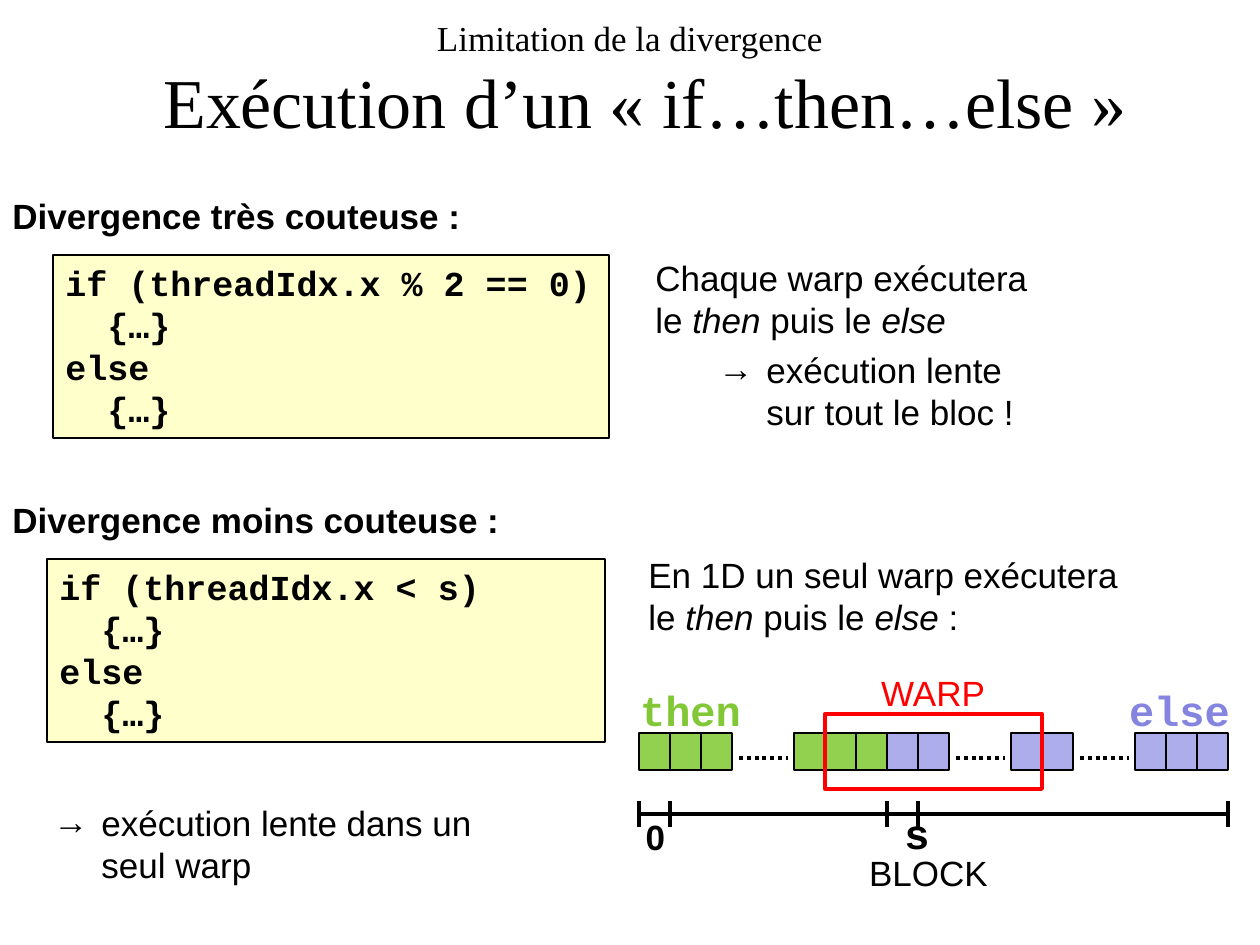
import pptx
import pptx.util
import pptx.dml.color
import pptx.enum.dml
import pptx.enum.shapes
import pptx.enum.text
from lxml import etree

PX = 914400 / 126
ALIGN = pptx.enum.text.PP_ALIGN
ANCHOR = pptx.enum.text.MSO_ANCHOR
THEME = {
    "sans": "Arial", "code": "Courier New", "serif": "Times New Roman",
    "body": 20, "mark": 24, "title": 40, "thin": 0.75, "thick": 2.25,
    "black": "000000", "red": "FF0000", "paper": "FFFFCC",
    "then": "92D050", "else": "ADADEB",
    "then_ink": "82C836", "else_ink": "8585E0",
}

# A paragraph is (text, options); words between stars are italic.
TITLE = [("Limitation de la divergence", {}),
         ("Exécution d’un «\u00a0if…then…else\u00a0»",
          {"size": "title", "left": 30})]
HEADS = [("Divergence très couteuse :", (0, 188, 478, 55)),
         ("Divergence moins couteuse :", (0, 492, 517, 55))]
CODES = [("if (threadIdx.x % 2 == 0)", (53, 255, 556, 183)),
         ("if (threadIdx.x < s)", (47, 559, 558, 183))]
BRANCH = ["  {…}", "else", "  {…}"]
NOTES = [
    ((643, 250, 416, 190), [
        ("Chaque warp exécutera le *then* puis le *else*", {}),
        ("exécution lente", {"left": 111, "hang": 48, "before": 5}),
        ("sur tout le bloc !", {"left": 111})]),
    ((636, 547, 503, 106), [
        ("En 1D un seul warp exécutera le *then* puis le *else* :", {})]),
    ((41, 795, 509, 97), [
        ("exécution lente dans un seul warp", {"left": 48, "hang": 48})]),
]
LABELS = [
    ("0", (633, 809, 45, 55), {"bold": True}),
    ("BLOCK", (856, 845, 145, 55), {}),
    ("WARP", (868, 665, 130, 55), {"ink": "red"}),
    ("s", (892, 801, 40, 63), {"face": "code", "size": "mark", "bold": True}),
    ("then", (627, 678, 127, 63), {"face": "code", "size": "mark",
                                   "bold": True, "ink": "then_ink"}),
    ("else", (1116, 678, 127, 63), {"face": "code", "size": "mark",
                                    "bold": True, "ink": "else_ink"}),
]

# The block is a row of equal slots, some shown as cells, some as dots.
LEFT, STEP, SLOTS = 639, 31, 19
CELL_TOP, CELL_H, DOT_Y, AXIS_Y = 733, 37, 758, 814
CELLS = {"then": [0, 1, 2, 5, 6, 7], "else": [8, 9, 12, 13, 16, 17, 18]}
GAPS = [3, 10, 14]
TICKS = [0, 1, 8, 9, SLOTS]
WARP = (6, 13)


def emu(n):
    return round(n * PX)


def color(name):
    return pptx.dml.color.RGBColor.from_string(THEME[name])


def slot(n):
    return LEFT + n * STEP


def indent(para, left, hang):
    """Indent a paragraph; a hanging one gets an arrow bullet."""
    props = para._p.get_or_add_pPr()
    props.set("marL", str(emu(left)))
    props.set("indent", str(-emu(hang)))
    if hang:
        for tag, key, val in (("buFont", "typeface", THEME["sans"]),
                              ("buChar", "char", "→")):
            etree.SubElement(props, pptx.oxml.ns.qn("a:" + tag)).set(key, val)


def write(shape, paras, face="sans", size="body", ink="black", bold=False,
          align=ALIGN.LEFT, wrap=True, anchor=ANCHOR.TOP):
    frame = shape.text_frame
    frame.word_wrap, frame.vertical_anchor = wrap, anchor
    for i, (text, opts) in enumerate(paras):
        para = frame.add_paragraph() if i else frame.paragraphs[0]
        indent(para, opts.get("left", 0), opts.get("hang", 0))
        para.alignment = align
        if "before" in opts:
            para.space_before = pptx.util.Pt(opts["before"])
        for j, part in enumerate(text.split("*")):
            if not part:
                continue
            run = para.add_run()
            run.text = part
            font = run.font
            font.name = THEME[face]
            font.size = pptx.util.Pt(THEME[opts.get("size", size)])
            font.bold, font.italic = bold, j % 2 == 1
            font.color.rgb = color(ink)


def text(slide, box, paras, **style):
    write(slide.shapes.add_textbox(*map(emu, box)), paras, **style)


def rect(slide, box, fill=None, ink="black", width="thin"):
    kind = pptx.enum.shapes.MSO_SHAPE.RECTANGLE
    shape = slide.shapes.add_shape(kind, *map(emu, box))
    shape.shadow.inherit = False
    if fill:
        shape.fill.solid()
        shape.fill.fore_color.rgb = color(fill)
    else:
        shape.fill.background()
    shape.line.color.rgb = color(ink)
    shape.line.width = pptx.util.Pt(THEME[width])
    return shape


def line(slide, ends, dots=False):
    kind = pptx.enum.shapes.MSO_CONNECTOR.STRAIGHT
    link = slide.shapes.add_connector(kind, *map(emu, ends))
    link.line.color.rgb = color("black")
    link.line.width = pptx.util.Pt(THEME["thick"])
    if dots:
        link.line.dash_style = pptx.enum.dml.MSO_LINE.ROUND_DOT
    etree.SubElement(link._element.spPr, pptx.oxml.ns.qn("a:effectLst"))


def block(slide):
    for name, slots in CELLS.items():
        for n in slots:
            rect(slide, (slot(n), CELL_TOP, STEP, CELL_H), name)
    first, last = WARP
    rect(slide, (slot(first), 714, slot(last) - slot(first), 75),
         ink="red", width="thick")
    for n in GAPS:
        line(slide, (slot(n) + 7, DOT_Y, slot(n) + 56, DOT_Y), dots=True)
    line(slide, (LEFT, AXIS_Y, slot(SLOTS), AXIS_Y))
    for n in TICKS:
        line(slide, (slot(n), AXIS_Y - 13, slot(n), AXIS_Y + 13))
    for word, box, style in LABELS:
        text(slide, box, [(word, {})], align=ALIGN.CENTER, wrap=False, **style)


def main():
    deck = pptx.Presentation()
    deck.slide_width, deck.slide_height = emu(1260), emu(945)
    slide = deck.slides.add_slide(deck.slide_layouts[6])
    text(slide, (0, 0, 1260, 158), TITLE, face="serif",
         align=ALIGN.CENTER, anchor=ANCHOR.MIDDLE)
    for head, box in HEADS:
        text(slide, box, [(head, {})], bold=True, wrap=False)
    for test, box in CODES:
        write(rect(slide, box, "paper"), [(row, {}) for row in [test] + BRANCH],
              face="code", bold=True)
    for box, paras in NOTES:
        text(slide, box, paras)
    block(slide)
    deck.save("out.pptx")


if __name__ == "__main__":
    main()
